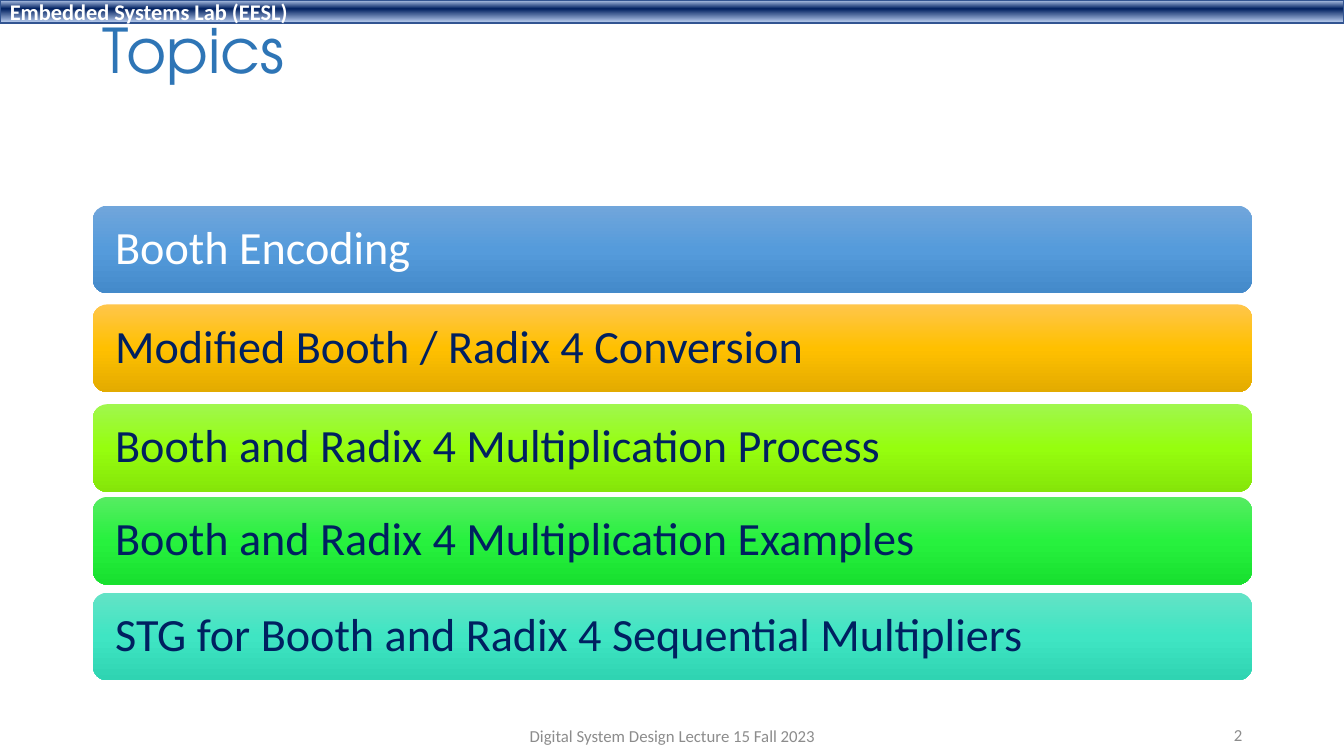
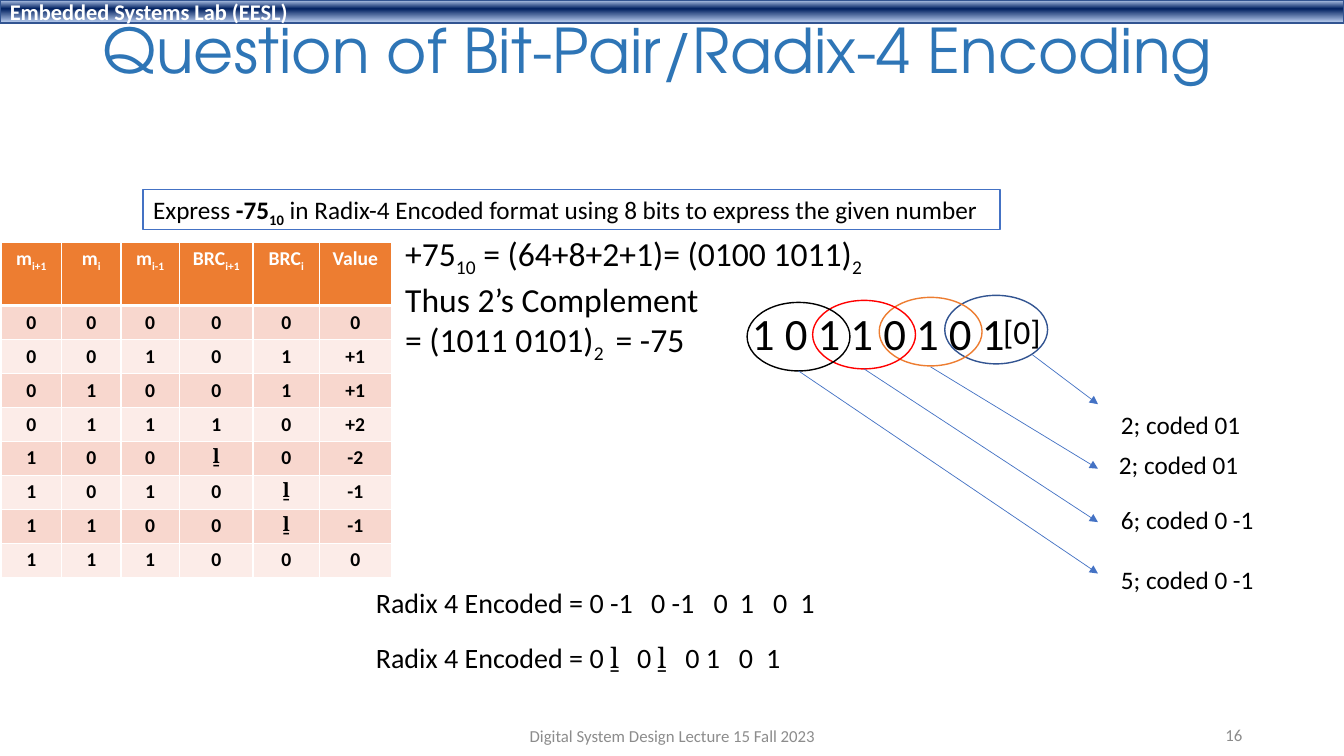
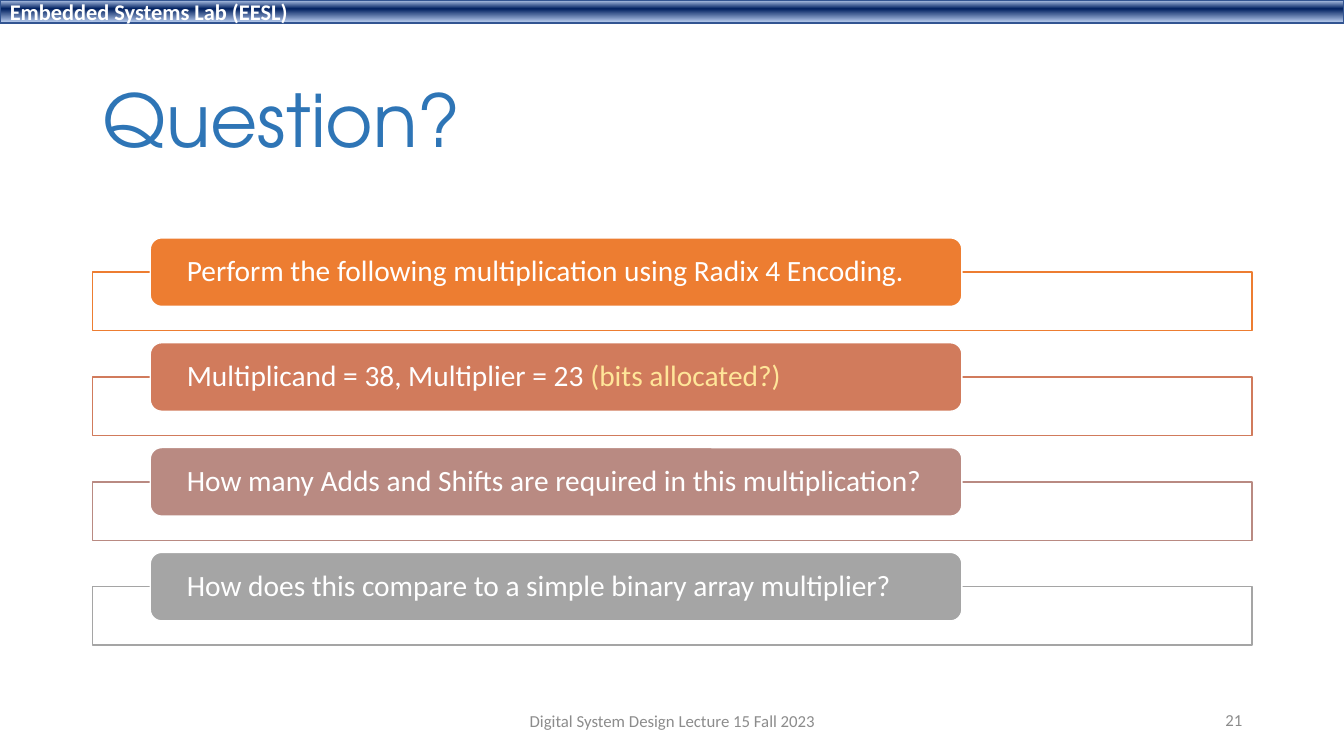
import pptx
import pptx.chart.data
import pptx.dml.color
import pptx.enum.shapes
import pptx.enum.text
import pptx.oxml.ns
import pptx.util
from lxml import etree

SHAPE = pptx.enum.shapes.MSO_SHAPE
ALIGN = pptx.enum.text.PP_ALIGN
MID = pptx.enum.text.MSO_ANCHOR.MIDDLE
TOP = pptx.enum.text.MSO_ANCHOR.TOP
qn = pptx.oxml.ns.qn

SCALE = 9144
WIDE, HIGH = 1333, 750
WHITE, BLACK, NAVY = "FFFFFF", "000000", "002060"
BLUE, DEEP, ORANGE, GRAY = "4472C4", "325491", "ED7D31", "8C8C8C"
SUB = {"base": -25}
MARK = ("ḻ", {"font": "Cambria"})


def px(*vals):
    """Turn pixel lengths into EMU."""
    return [val * SCALE for val in vals]


def hue(code):
    """Turn a hex string into a colour."""
    return pptx.dml.color.RGBColor.from_string(code)


def style(run, font="Calibri", size=18, color=BLACK, bold=False, base=0):
    """Format one run."""
    run.font.name = font
    run.font.size = pptx.util.Pt(size)
    run.font.color.rgb = hue(color)
    run.font.bold = bold
    if base:
        run.font._rPr.set("baseline", str(base * 1000))


def write(frame, *lines, align=ALIGN.LEFT, anchor=TOP, pad=10, space=None, tabs=(), **form):
    """Fill a text frame with lines, each a string or a list of runs."""
    frame.word_wrap = True
    frame.auto_size = pptx.enum.text.MSO_AUTO_SIZE.NONE
    frame.vertical_anchor = anchor
    frame.margin_left, frame.margin_right = px(pad, pad)
    for n, line in enumerate(lines):
        para = frame.add_paragraph() if n else frame.paragraphs[0]
        para.alignment = align
        if space:
            para.line_spacing = space
        if tabs:
            stops = etree.SubElement(para._p.get_or_add_pPr(), qn("a:tabLst"))
            for pos in tabs:
                etree.SubElement(stops, qn("a:tab"), pos=str(pos * SCALE), algn="l")
        for part in [line] if isinstance(line, str) else line:
            text, extra = (part, {}) if isinstance(part, str) else part
            run = para.add_run()
            run.text = text
            style(run, **{**form, **extra})


def label(slide, box, *lines, **form):
    """Add a text box."""
    write(slide.shapes.add_textbox(*px(*box)).text_frame, *lines, **form)


def block(slide, kind, box, fill=None, line=None):
    """Add a preset shape with a plain fill, a list of gradient stops, or none."""
    shape = slide.shapes.add_shape(kind, *px(*box))
    shape.shadow.inherit = False
    if fill is None:
        shape.fill.background()
    elif isinstance(fill, str):
        shape.fill.solid()
        shape.fill.fore_color.rgb = hue(fill)
    else:
        shape.fill.gradient()
        shape.fill.gradient_angle = 270
        stops = shape.element.find(".//" + qn("a:gsLst"))
        for old in list(stops):
            stops.remove(old)
        for pos, code in fill:
            stop = etree.SubElement(stops, qn("a:gs"), pos=str(pos * 1000))
            etree.SubElement(stop, qn("a:srgbClr"), val=code)
    if line:
        shape.line.color.rgb = hue(line)
        shape.line.width = pptx.util.Pt(1)
    else:
        shape.line.fill.background()
    return shape


def arrow(slide, start, end):
    """Draw a thin arrow between two points."""
    link = slide.shapes.add_connector(
        pptx.enum.shapes.MSO_CONNECTOR.STRAIGHT, *px(*start, *end))
    link.line.color.rgb = hue(BLUE)
    link.line.width = pptx.util.Pt(0.5)
    etree.SubElement(link.element.find(".//" + qn("a:ln")), qn("a:tailEnd"), type="triangle")
    etree.SubElement(link.element.spPr, qn("a:effectLst"))


def band(deck, slide):
    """Put the lab band on the master, by way of a slide."""
    bar = block(slide, SHAPE.RECTANGLE, (0, 0, WIDE, 23),
                [(2, "ABC0E4"), (38, NAVY), (93, "ACC1E5")], DEEP)
    write(bar.text_frame, "Embedded Systems Lab (EESL)", anchor=MID,
          size=16, color=WHITE, bold=True)
    deck.slide_master.element.cSld.spTree.append(bar.element)


def start(deck, title, page, top=15, high=77, size=44, foot=710):
    """Add a slide with its title, footer and page number."""
    slide = deck.slides.add_slide(deck.slide_layouts[5])
    head = slide.shapes.title
    head.left, head.top, head.width, head.height = px(92, top, 1150, high)
    write(head.text_frame, title, anchor=MID, space=0.9,
          font="TeX Gyre Adventor", size=size, color="2E75B6")
    note = {"anchor": MID, "size": 12, "color": GRAY}
    label(slide, (442, foot, 450, 40), "Digital System Design Lecture 15 Fall 2023",
          align=ALIGN.CENTER, **note)
    label(slide, (942, foot - 1, 300, 40), page, align=ALIGN.RIGHT, **note)
    return slide


def topics(slide, left, wide):
    """Stack the topic bars."""
    rows = [
        (204, "Booth Encoding", WHITE, ("71A6DB", "559BDB", "448ACA")),
        (302, "Modified Booth / Radix 4 Conversion", NAVY, ("FFC64B", "FFC000", "E3AB00")),
        (401, "Booth and Radix 4 Multiplication Process", NAVY, ("A0F74E", "96FE0E", "85E509")),
        (493, "Booth and Radix 4 Multiplication Examples", NAVY, ("56EC62", "27F13E", "18E02F")),
        (588, "STG for Booth and Radix 4 Sequential Multipliers", NAVY,
         ("63E3C6", "3FE5C3", "2FD4B2")),
    ]
    for top, text, color, tones in rows:
        bar = block(slide, SHAPE.ROUNDED_RECTANGLE, (left, top, wide, 87),
                    list(zip((0, 50, 100), tones)))
        write(bar.text_frame, text, anchor=MID, pad=18, space=0.9, size=33, color=color)


def edge(cell, low):
    """Give a cell white borders, the bottom one of the given points."""
    props = cell._tc.get_or_add_tcPr()
    for side, points in zip("LRTB", (1, 1, 1, low)):
        line = etree.SubElement(props, qn("a:ln" + side), w=str(points * 12700))
        fill = etree.SubElement(line, qn("a:solidFill"))
        etree.SubElement(fill, qn("a:srgbClr"), val=WHITE)


def codes(slide, left, top):
    """Build the bit-pair recoding table."""
    heads = [("m", "i+1"), ("m", "i"), ("m", "i-1"), ("BRC", "i+1"), ("BRC", "i"), ("Value", "")]
    rows = [[[name, (low, SUB)] if low else name for name, low in heads]]
    rows += [line.split() for line in (
        "0 0 0 0 0 0", "0 0 1 0 1 +1", "0 1 0 0 1 +1", "0 1 1 1 0 +2",
        "1 0 0 ḻ 0 -2", "1 0 1 0 ḻ -1", "1 1 0 0 ḻ -1", "1 1 1 0 0 0")]
    sizes = (60, 59, 58, 73, 66, 71)
    highs = [63] + [33] * 8
    grid = slide.shapes.add_table(
        len(rows), len(sizes), *px(left, top, sum(sizes), sum(highs))).table
    grid.horz_banding = False
    for col, size in zip(grid.columns, sizes):
        col.width = size * SCALE
    for r, row in enumerate(rows):
        grid.rows[r].height = highs[r] * SCALE
        tone = ("FCECE8", "F8D7CE")[r % 2] if r else ORANGE
        for c, text in enumerate(row):
            cell = grid.cell(r, c)
            edge(cell, 1 if r else 3)
            cell.fill.solid()
            cell.fill.fore_color.rgb = hue(tone)
            para = cell.text_frame.paragraphs[0]
            para.alignment = ALIGN.CENTER
            for part in [text] if isinstance(text, str) else text:
                word, extra = (part, {}) if isinstance(part, str) else part
                run = para.add_run()
                run.text = word
                font = "Cambria" if word == "ḻ" else "Calibri"
                style(run, font=font, size=14, bold=True,
                      color=BLACK if r else WHITE, **extra)


def pairs(slide, left, top):
    """Draw the bits, the rings round each group and the arrows to their codes."""
    label(slide, (left, top, 274, 64), "1 0 1 1 0 1 0 1", size=32)
    label(slide, (left + 249, top + 6, 58, 50), "[0]", size=24)
    rings = [
        (201, -5, DEEP, (288, 54), 103, (366, 103), "2; coded 01"),
        (136, -3, ORANGE, (187, 66), 167, (364, 143), "2; coded 01"),
        (70, 0, "FF0000", (121, 68), 220, (366, 197), "6; coded 0 -1"),
        (5, 2, BLACK, (56, 70), 271, (366, 257), "5; coded 0 -1"),
    ]
    for x, y, color, (tail, base), tip, (side, drop), text in rings:
        block(slide, SHAPE.OVAL, (left + x, top + y, 102, 68), line=color)
        arrow(slide, (left + tail, top + base), (left + 353, top + tip))
        label(slide, (left + side, top + drop, 154, 40), text)


def work(slide, left, top):
    """Write the question, the two's complement steps and the results."""
    ask = block(slide, SHAPE.RECTANGLE, (left, top, 850, 40), WHITE, BLUE)
    write(ask.text_frame, [
        "Express ", ("-75", {"bold": True}), ("10", {"bold": True, **SUB}),
        " in Radix-4 Encoded format using 8 bits to express the given number"])
    label(slide, (left + 250, top + 38, 481, 131),
          ["+75", ("10", SUB), " = (64+8+2+1)= (0100 1011)", ("2", SUB)],
          "Thus 2’s Complement",
          ["= (1011 0101)", ("2 ", SUB), " = -75"], size=24)
    label(slide, (left + 221, top + 388, 466, 44),
          "Radix 4 Encoded = 0 -1\t0 -1\t0\t1\t0\t1",
          tabs=(273, 335, 361, 394, 421), size=20)
    label(slide, (left + 221, top + 443, 466, 44),
          ["Radix 4 Encoded = 0 ", MARK, "\t0 ", MARK, "\t0 1\t0\t1"],
          tabs=(259, 307, 360, 387), size=20)


def tasks(slide, left, top, wide):
    """Stack the question tabs over their frames."""
    rows = [
        (ORANGE, "Perform the following multiplication using Radix 4 Encoding."),
        ("D17B5C", ["Multiplicand = 38, Multiplier = 23 ",
                    ("(bits allocated?)", {"color": "FFE699"})]),
        ("B98A82", "How many Adds and Shifts are required in this multiplication?"),
        ("A5A5A5", "How does this compare to a simple binary array multiplier?"),
    ]
    for n, (tone, text) in enumerate(rows):
        y = top + 104 * n
        block(slide, SHAPE.RECTANGLE, (left, y + 34, wide, 58), WHITE, tone)
        tab = block(slide, SHAPE.ROUNDED_RECTANGLE, (left + 57, y, 805, 68), tone, WHITE)
        write(tab.text_frame, text, anchor=MID, pad=33, space=0.9, size=21, color=WHITE)


def main():
    """Build and save the deck."""
    deck = pptx.Presentation()
    deck.slide_width, deck.slide_height = px(WIDE, HIGH)
    first = start(deck, "Topics", "2")
    band(deck, first)
    topics(first, 92, 1150)
    quiz = start(deck, "Question of Bit-Pair/Radix-4 Encoding", "16")
    work(quiz, 142, 188)
    pairs(quiz, 736, 298)
    codes(quiz, 1, 240)
    last = start(deck, "Question?", "21", top=61, high=124, size=52, foot=695)
    tasks(last, 92, 236, 1150)
    deck.save("out.pptx")


if __name__ == "__main__":
    main()
